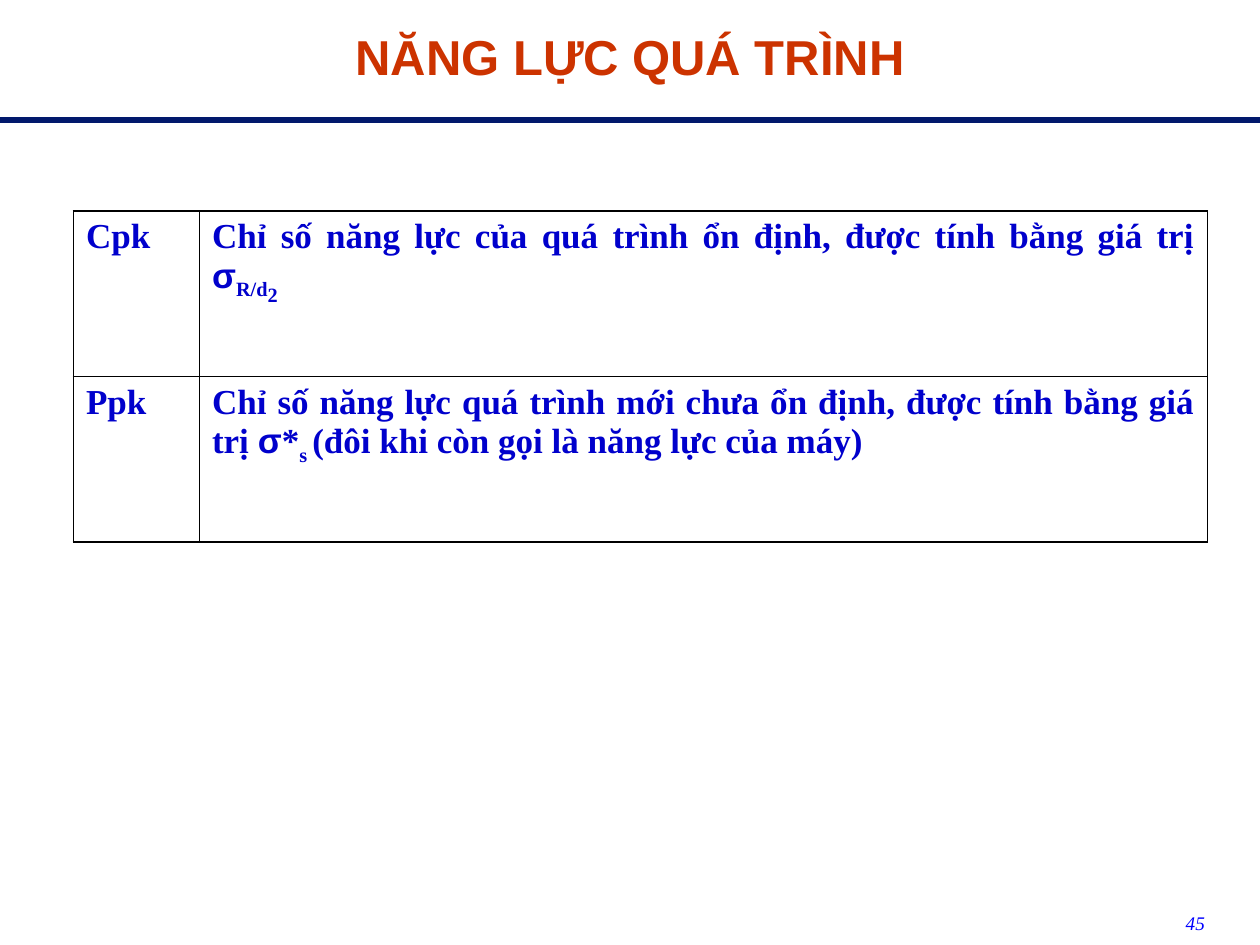
from lxml.etree import SubElement
from pptx import Presentation
from pptx.dml.color import RGBColor
from pptx.enum.shapes import MSO_CONNECTOR
from pptx.enum.text import MSO_ANCHOR, PP_ALIGN
from pptx.oxml.ns import qn
from pptx.util import Cm, Pt

RED = RGBColor(0xCC, 0x33, 0x00)
NAVY = RGBColor(0x01, 0x18, 0x6C)
BLUE = RGBColor(0x00, 0x00, 0xCC)
BRIGHT_BLUE = RGBColor(0x00, 0x00, 0xFF)
BLACK = RGBColor(0x00, 0x00, 0x00)
SANS, SERIF = "Arial", "Times New Roman"

TITLE = "NĂNG LỰC QUÁ TRÌNH"
PAGE_NUMBER = "45"
INDICES = [
    ("Cpk", [
        ("Chỉ số năng lực của quá trình ổn định, được tính bằng giá trị ", SERIF, 0),
        ("σ", SANS, 0),
        ("R/d", SERIF, -25),
        ("2", SERIF, -40),
    ]),
    ("Ppk", [
        ("Chỉ số năng lực quá trình mới chưa ổn định, được tính bằng giá trị ", SERIF, 0),
        ("σ", SANS, 0),
        ("*", SERIF, 0),
        ("s ", SERIF, -25),
        ("(đôi khi còn gọi là năng lực của máy)", SERIF, 0),
    ]),
]
COLUMN_WIDTHS = [Cm(2.54), Cm(20.32)]
ROW_HEIGHT = Cm(3.33)
OUTER_BORDER, INNER_BORDER = Pt(1.08), Pt(0.45)


def add_run(paragraph, text, font_name, size, color, bold=False, italic=False, baseline=0):
    run = paragraph.add_run()
    run.text = text
    font = run.font
    font.name, font.size, font.bold, font.italic = font_name, size, bold, italic
    font.color.rgb = color
    if baseline:
        run._r.get_or_add_rPr().set("baseline", str(baseline * 1000))


def add_label(slide, left, top, width, height, alignment, *run_format, **style):
    frame = slide.shapes.add_textbox(left, top, width, height).text_frame
    frame.word_wrap = True
    frame.vertical_anchor = MSO_ANCHOR.TOP
    frame.paragraphs[0].alignment = alignment
    add_run(frame.paragraphs[0], *run_format, **style)


def set_borders(cell, outer_sides):
    properties = cell._tc.get_or_add_tcPr()
    for side in "LRTB":
        width = OUTER_BORDER if side in outer_sides else INNER_BORDER
        border = SubElement(properties, qn(f"a:ln{side}"), w=str(int(width)))
        fill = SubElement(border, qn("a:solidFill"))
        SubElement(fill, qn("a:srgbClr"), val=str(BLACK))
    cell.fill.background()


def add_index_table(slide):
    table = slide.shapes.add_table(
        len(INDICES), len(COLUMN_WIDTHS), Cm(1.48), Cm(4.26),
        sum(COLUMN_WIDTHS), ROW_HEIGHT * len(INDICES)).table
    table.first_row = table.horz_banding = False
    for column, width in zip(table.columns, COLUMN_WIDTHS):
        column.width = width
    for row, (index_name, definition) in enumerate(INDICES):
        table.rows[row].height = ROW_HEIGHT
        contents = [[(index_name, SERIF, 0)], definition]
        for col, pieces in enumerate(contents):
            cell = table.cell(row, col)
            set_borders(cell, "TB"[row] + "LR"[col])
            paragraph = cell.text_frame.paragraphs[0]
            paragraph.alignment = (PP_ALIGN.LEFT, PP_ALIGN.JUSTIFY)[col]
            for text, font_name, baseline in pieces:
                add_run(paragraph, text, font_name, Pt(20), BLUE, bold=True, baseline=baseline)


def main():
    presentation = Presentation()
    presentation.slide_width, presentation.slide_height = Cm(25.4), Cm(19.05)
    slide = presentation.slides.add_slide(presentation.slide_layouts[6])

    add_label(slide, 0, Cm(0.41), presentation.slide_width, Cm(2.31), PP_ALIGN.CENTER,
              TITLE, SANS, Pt(28), RED, bold=True)
    add_label(slide, Cm(18.62), Cm(18.24), Cm(5.92), Cm(0.64), PP_ALIGN.RIGHT,
              PAGE_NUMBER, SERIF, Pt(11), BRIGHT_BLUE, italic=True)
    add_index_table(slide)

    rule_y = Cm(2.41)
    title_rule = slide.shapes.add_connector(
        MSO_CONNECTOR.STRAIGHT, 0, rule_y, presentation.slide_width, rule_y)
    title_rule.line.color.rgb = NAVY
    title_rule.line.width = Pt(3.5)
    SubElement(title_rule._element.spPr, qn("a:effectLst"))

    presentation.save("out.pptx")


if __name__ == "__main__":
    main()
